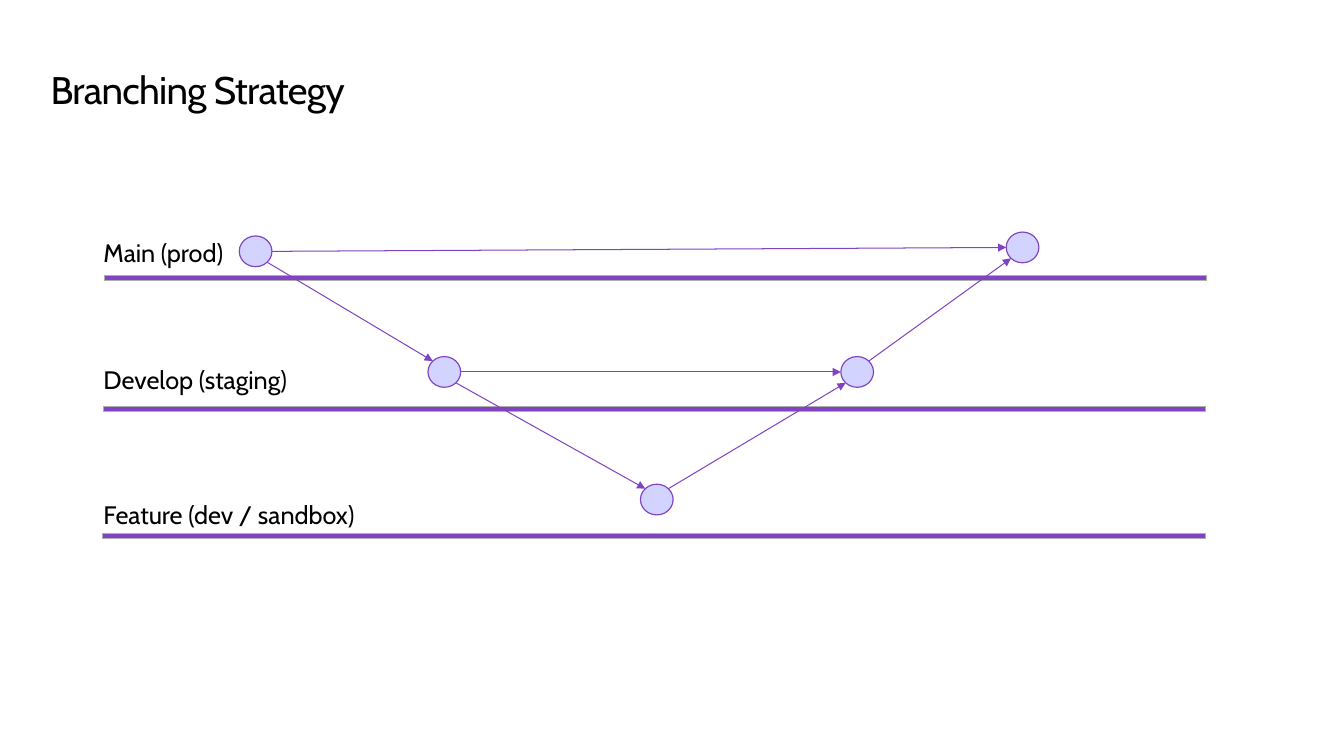
from math import sqrt
from lxml import etree
from pptx import Presentation
from pptx.dml.color import RGBColor
from pptx.enum.shapes import MSO_CONNECTOR as Link, MSO_SHAPE as Shape
from pptx.enum.text import MSO_ANCHOR as Anchor
from pptx.oxml.ns import qn
from pptx.util import Cm, Pt

BLACK = RGBColor(0x00, 0x00, 0x00)
PURPLE = RGBColor(0x80, 0x43, 0xC2)
LILAC = RGBColor(0xD3, 0xD3, 0xFF)
GRAY = RGBColor(0xAE, 0xAE, 0xAE)

FONT = "Cabin"
NODE_W, NODE_H = 0.84, 0.79
LANE_H = 0.13
DIAG = sqrt(0.5)
RIGHT, LEFT = (1, 0), (-1, 0)
UP_RIGHT, UP_LEFT = (DIAG, -DIAG), (-DIAG, -DIAG)
DOWN_RIGHT, DOWN_LEFT = (DIAG, DIAG), (-DIAG, DIAG)

# Label, label top, label width, lane left, lane top, lane width
LANES = [
    ("Main (prod)", 5.97, 5.31, 2.69, 7.09, 28.32),
    ("Develop (staging)", 9.25, 6.68, 2.67, 10.44, 28.32),
    ("Feature (dev / sandbox)", 12.7, 7.65, 2.64, 13.72, 28.35),
]

# Centre of each commit
NODES = {
    "start": (6.57, 6.46),
    "branch": (11.42, 9.56),
    "feature": (16.88, 12.84),
    "merge": (22.03, 9.56),
    "release": (26.28, 6.36),
}

ARROWS = [
    ("start", DOWN_RIGHT, "branch", UP_LEFT),
    ("branch", DOWN_RIGHT, "feature", UP_LEFT),
    ("start", RIGHT, "release", LEFT),
    ("branch", RIGHT, "merge", LEFT),
    ("feature", UP_RIGHT, "merge", DOWN_LEFT),
    ("merge", UP_RIGHT, "release", DOWN_LEFT),
]


def add_text(slide, text, left, top, width, height, size):
    box = slide.shapes.add_textbox(Cm(left), Cm(top), Cm(width), Cm(height))
    frame = box.text_frame
    frame.word_wrap = True
    frame.vertical_anchor = Anchor.TOP
    para = frame.paragraphs[0]
    para.text = text
    para.font.name = FONT
    para.font.size = Pt(size)
    para.font.color.rgb = BLACK
    return frame


def add_title(slide, text):
    frame = add_text(slide, text, 1.3, 1.57, 32.03, 2.31, 28)
    frame.margin_left = 0
    frame.margin_top = frame.margin_bottom = Cm(0.25)
    frame.margin_right = Cm(0.41)
    para = frame.paragraphs[0]
    para.line_spacing = 0.9
    para.runs[0].font._element.set("spc", "-50")


def add_solid(slide, kind, left, top, width, height, fill, line):
    shape = slide.shapes.add_shape(kind, Cm(left), Cm(top), Cm(width), Cm(height))
    shape.shadow.inherit = False
    shape.fill.solid()
    shape.fill.fore_color.rgb = fill
    shape.line.color.rgb = line
    shape.line.width = Pt(0.85)


def add_node(slide, x, y):
    add_solid(slide, Shape.OVAL, x - NODE_W / 2, y - NODE_H / 2,
              NODE_W, NODE_H, LILAC, PURPLE)


def edge(name, side):
    """Return the point on a commit's rim that lies towards side."""
    x, y = NODES[name]
    return Cm(x + side[0] * NODE_W / 2), Cm(y + side[1] * NODE_H / 2)


def add_arrow(slide, source, out, target, into):
    link = slide.shapes.add_connector(
        Link.STRAIGHT, *edge(source, out), *edge(target, into))
    link.line.color.rgb = PURPLE
    link.line.width = Pt(0.75)
    etree.SubElement(link.line._get_or_add_ln(), qn("a:tailEnd"), type="triangle")
    etree.SubElement(link._element.spPr, qn("a:effectLst"))


def main():
    deck = Presentation()
    deck.slide_width, deck.slide_height = Cm(34.54), Cm(19.43)
    slide = deck.slides.add_slide(deck.slide_layouts[6])

    add_title(slide, "Branching Strategy")
    for label, y, width, left, top, length in LANES:
        add_text(slide, label, 2.41, y, width, 1.06, 18.4)
        add_solid(slide, Shape.RECTANGLE, left, top, length, LANE_H, PURPLE, GRAY)
    for x, y in NODES.values():
        add_node(slide, x, y)
    for arrow in ARROWS:
        add_arrow(slide, *arrow)

    deck.save("out.pptx")


if __name__ == "__main__":
    main()
